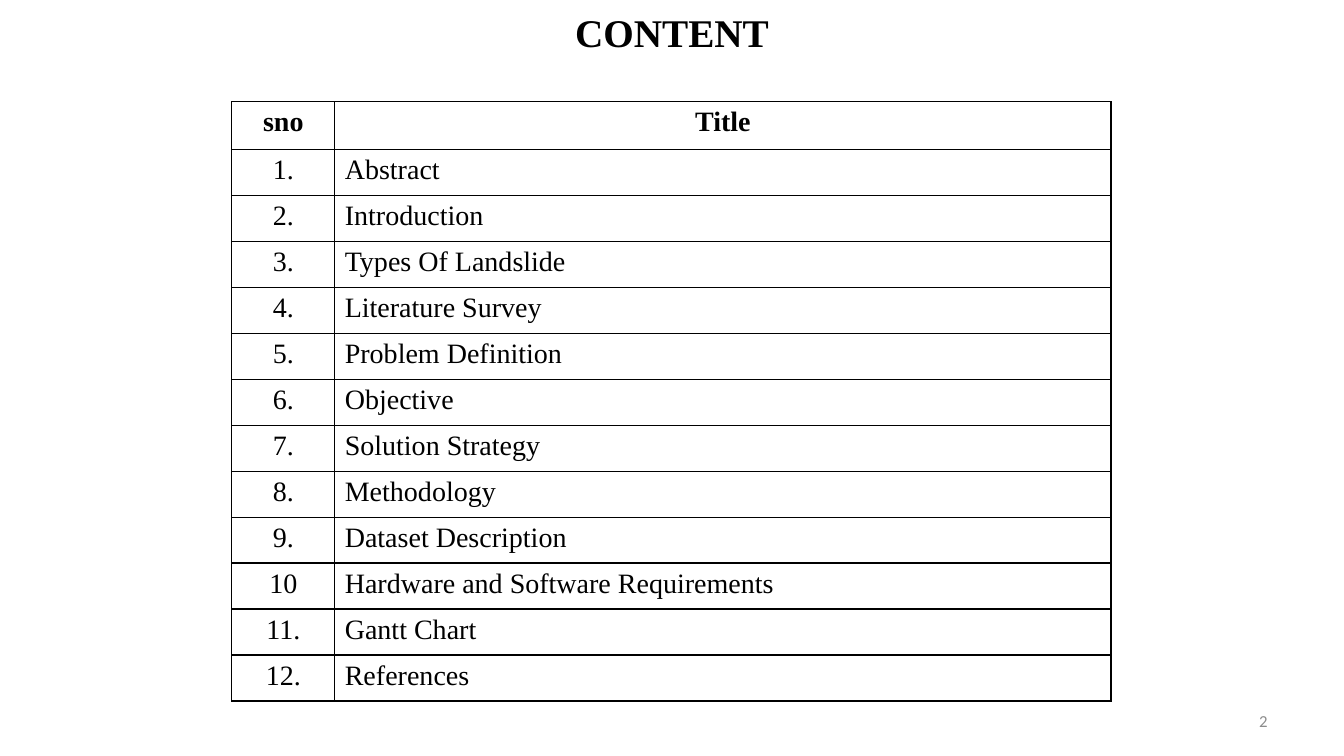
import dataclasses

import pptx
import pptx.dml.color
import pptx.enum.text
import pptx.oxml
import pptx.oxml.ns
import pptx.util

ALIGN = pptx.enum.text.PP_ALIGN
MIDDLE = pptx.enum.text.MSO_ANCHOR.MIDDLE
Inches = pptx.util.Inches


@dataclasses.dataclass(frozen=True)
class Theme:
    ink: str = "000000"
    muted: str = "8C8C8C"
    serif: str = "Times New Roman"
    sans: str = "Calibri"
    title_size: int = 28
    table_size: int = 20
    number_size: int = 12
    border_width: int = 1


THEME = Theme()
WIDTH, HEIGHT = 13.33, 7.5

# Contents grid, in inches
GRID_LEFT, GRID_TOP = 2.3, 1.01
COLUMNS = (1.02, 7.7)
HEADER_ROW, GRID_HEIGHT = 0.47, 5.95

HEADINGS = ("sno", "Title")
TOPICS = (
    ("1.", "Abstract"),
    ("2.", "Introduction"),
    ("3.", "Types Of Landslide"),
    ("4.", "Literature Survey"),
    ("5.", "Problem Definition"),
    ("6.", "Objective"),
    ("7.", "Solution Strategy"),
    ("8.", "Methodology"),
    ("9.", "Dataset Description"),
    ("10", "Hardware and Software Requirements"),
    ("11.", "Gantt Chart"),
    ("12.", "References"),
)


def style(paragraph, face, size, color, align, bold=False):
    paragraph.alignment = align
    font = paragraph.font
    font.name, font.size, font.bold = face, pptx.util.Pt(size), bold
    font.color.rgb = pptx.dml.color.RGBColor.from_string(color)


def add_title(slide, text):
    title = slide.shapes.title
    title.left, title.top = Inches(3.95), Inches(-0.05)
    title.width, title.height = Inches(5.43), Inches(0.73)
    title.text_frame.text = text
    title.text_frame.vertical_anchor = MIDDLE
    style(title.text_frame.paragraphs[0], THEME.serif, THEME.title_size,
          THEME.ink, ALIGN.CENTER, bold=True)


def set_borders(cell):
    properties = cell._tc.get_or_add_tcPr()
    for position, side in enumerate(("lnL", "lnR", "lnT", "lnB")):
        border = pptx.oxml.parse_xml(
            f'<a:{side} {pptx.oxml.ns.nsdecls("a")} '
            f'w="{pptx.util.Pt(THEME.border_width)}"><a:solidFill>'
            f'<a:srgbClr val="{THEME.ink}"/></a:solidFill></a:{side}>')
        properties.insert(position, border)


def add_contents(slide, headings, topics):
    rows = (headings, *topics)
    frame = slide.shapes.add_table(
        len(rows), len(COLUMNS), Inches(GRID_LEFT), Inches(GRID_TOP),
        Inches(sum(COLUMNS)), Inches(GRID_HEIGHT))
    contents = frame.table
    contents.horz_banding = False
    for column, width in zip(contents.columns, COLUMNS):
        column.width = Inches(width)

    topic_row = (GRID_HEIGHT - HEADER_ROW) / len(topics)
    for r, entry in enumerate(rows):
        is_header = r == 0
        contents.rows[r].height = Inches(HEADER_ROW if is_header else topic_row)
        for c, text in enumerate(entry):
            cell = contents.cell(r, c)
            cell.text = text
            cell.fill.background()
            set_borders(cell)
            centred = is_header or c == 0
            style(cell.text_frame.paragraphs[0], THEME.serif, THEME.table_size,
                  THEME.ink, ALIGN.CENTER if centred else ALIGN.LEFT, is_header)


def add_page_number(slide, number):
    footer = slide.shapes.add_textbox(
        Inches(9.56), Inches(6.95), Inches(3.11), Inches(0.4)).text_frame
    footer.word_wrap = True
    footer.vertical_anchor = MIDDLE
    footer.text = str(number)
    style(footer.paragraphs[0], THEME.sans, THEME.number_size, THEME.muted,
          ALIGN.RIGHT)


def main():
    deck = pptx.Presentation()
    deck.slide_width, deck.slide_height = Inches(WIDTH), Inches(HEIGHT)
    slide = deck.slides.add_slide(deck.slide_layouts.get_by_name("Title Only"))
    add_title(slide, "CONTENT")
    add_page_number(slide, 2)
    add_contents(slide, HEADINGS, TOPICS)
    deck.save("out.pptx")


if __name__ == "__main__":
    main()
